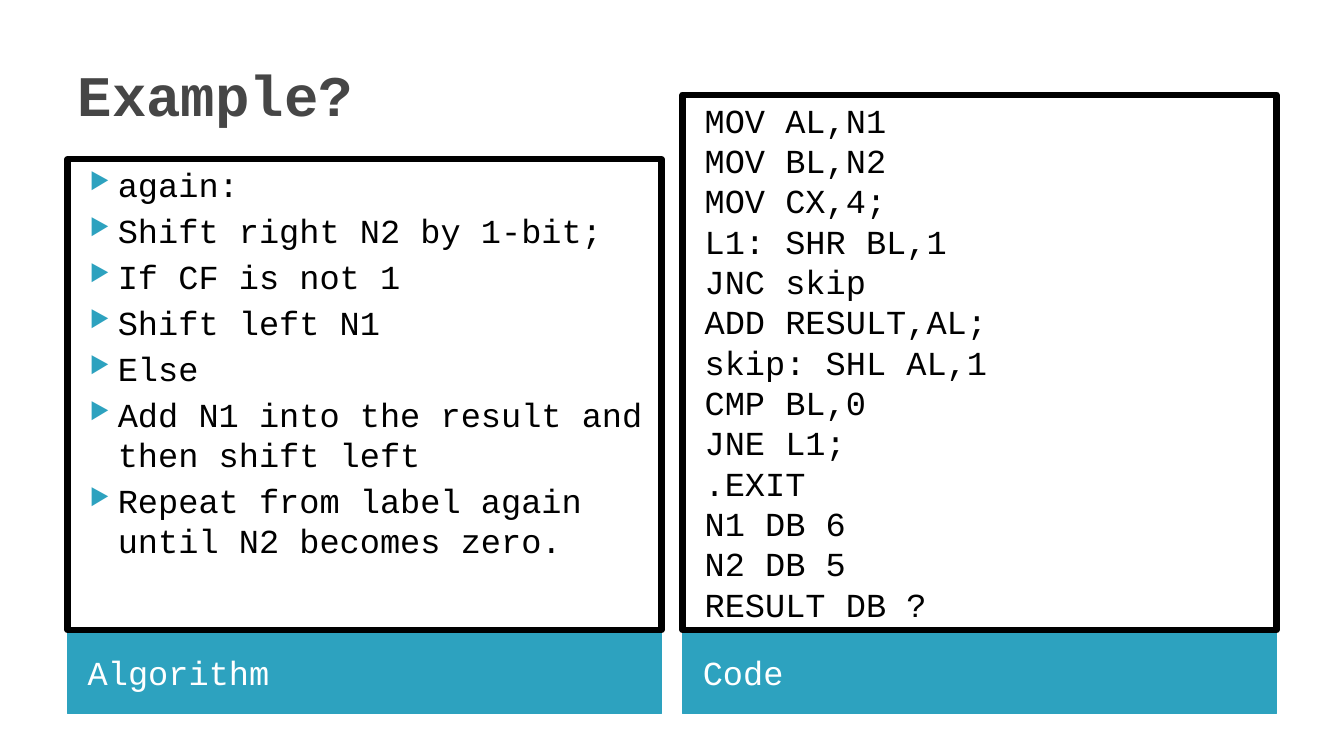
import pptx
import pptx.dml.color
import pptx.enum.shapes
import pptx.enum.text
import pptx.oxml.ns
import pptx.util
from dataclasses import dataclass
from lxml import etree

Inches = pptx.util.Inches
Pt = pptx.util.Pt
ALIGN_LEFT = pptx.enum.text.PP_ALIGN.LEFT
ANCHOR = pptx.enum.text.MSO_ANCHOR


@dataclass(frozen=True)
class Theme:
    font: str = "Courier New"
    title_size: float = 41
    body_size: float = 24
    title: str = "464646"
    accent: str = "2DA2BF"
    ink: str = "000000"
    paper: str = "FFFFFF"
    panel_line: float = 4.5
    caption_line: float = 0.75
    item_gap: float = 4


def rgb(value):
    return pptx.dml.color.RGBColor.from_string(value)


def apply(target, values):
    for name, value in values.items():
        setattr(target, name, value)


class SlideBuilder:
    def __init__(self, presentation, theme):
        self.theme = theme
        self.slide = presentation.slides.add_slide(presentation.slide_layouts[5])

    def set_text(self, shape, lines, color, size, frame, paragraph, bold=False):
        text = shape.text_frame
        apply(text, {"word_wrap": True,
                     "auto_size": pptx.enum.text.MSO_AUTO_SIZE.NONE, **frame})
        text.text = "\n".join(lines)
        for line in text.paragraphs:
            apply(line, {"alignment": ALIGN_LEFT, **paragraph})
            font = line.runs[0].font
            apply(font, {"name": self.theme.font, "size": Pt(size), "bold": bold})
            font.color.rgb = rgb(color)
        return text.paragraphs

    def indent(self, paragraphs, left, first=0.0):
        for line in paragraphs:
            properties = line._p.get_or_add_pPr()
            properties.set("marL", str(Inches(left)))
            properties.set("indent", str(Inches(first)))

    def bullet(self, paragraphs):
        qn = pptx.oxml.ns.qn
        for line in paragraphs:
            properties = line._p.get_or_add_pPr()
            color = etree.SubElement(properties, qn("a:buClr"))
            etree.SubElement(color, qn("a:srgbClr"), val=self.theme.accent)
            etree.SubElement(properties, qn("a:buSzPct"), val="68000")
            etree.SubElement(properties, qn("a:buChar"), char="▶")

    def title(self, wording, left, top, width, height):
        heading = self.slide.shapes.title
        apply(heading, {"left": Inches(left), "top": Inches(top),
                        "width": Inches(width), "height": Inches(height)})
        self.set_text(heading, [wording], self.theme.title, self.theme.title_size,
                      {"vertical_anchor": ANCHOR.MIDDLE}, {}, bold=True)

    def box(self, left, top, width, height, fill, line, weight):
        shape = self.slide.shapes.add_shape(
            pptx.enum.shapes.MSO_SHAPE.RECTANGLE,
            Inches(left), Inches(top), Inches(width), Inches(height))
        shape.shadow.inherit = False
        shape.fill.solid()
        shape.fill.fore_color.rgb = rgb(fill)
        shape.line.color.rgb = rgb(line)
        shape.line.width = Pt(weight)
        return shape

    def caption(self, wording, left, top, width, height):
        theme = self.theme
        band = self.box(left, top, width, height,
                        theme.accent, theme.accent, theme.caption_line)
        self.set_text(band, [wording], theme.paper, theme.body_size,
                      {"vertical_anchor": ANCHOR.MIDDLE, "margin_left": Inches(0.2)},
                      {"space_before": Pt(theme.item_gap)})

    def panel(self, lines, left, top, width, height, bulleted):
        theme = self.theme
        frame = self.box(left, top, width, height,
                         theme.paper, theme.ink, theme.panel_line)
        gap = theme.item_gap if bulleted else 0
        paragraphs = self.set_text(frame, lines, theme.ink, theme.body_size,
                                   {"vertical_anchor": ANCHOR.TOP},
                                   {"space_before": Pt(gap)})
        if bulleted:
            self.indent(paragraphs, 0.4, -0.28)
            self.bullet(paragraphs)
        else:
            self.indent(paragraphs, 0.12)


ALGORITHM = [
    "again:",
    "Shift right N2 by 1-bit;",
    "If CF is not 1",
    "Shift left N1",
    "Else",
    "Add N1 into the result and then shift left",
    "Repeat from label again until N2 becomes zero.",
]
CODE = [
    "MOV AL,N1",
    "MOV BL,N2",
    "MOV CX,4;",
    "L1: SHR BL,1",
    "JNC skip",
    "ADD RESULT,AL;",
    "skip: SHL AL,1",
    "CMP BL,0",
    "JNE L1;",
    ".EXIT",
    "N1 DB 6",
    "N2 DB 5",
    "RESULT DB ?",
]


def main():
    presentation = pptx.Presentation()
    apply(presentation, {"slide_width": Inches(13.33), "slide_height": Inches(7.5)})
    builder = SlideBuilder(presentation, Theme())

    # Heading
    builder.title("Example?", 0.67, 0.3, 12, 1.25)

    # Two columns: caption bands below, panels standing on them
    column_width, caption_top, caption_height = 5.89, 6.25, 0.83
    columns = [
        ("Algorithm", ALGORITHM, 0.67, 1.58, True),
        ("Code", CODE, 6.77, 0.94, False),
    ]
    for name, lines, left, top, bulleted in columns:
        builder.caption(name, left, caption_top, column_width, caption_height)
        builder.panel(lines, left, top, column_width, caption_top - top, bulleted)

    presentation.save("out.pptx")


if __name__ == "__main__":
    main()
